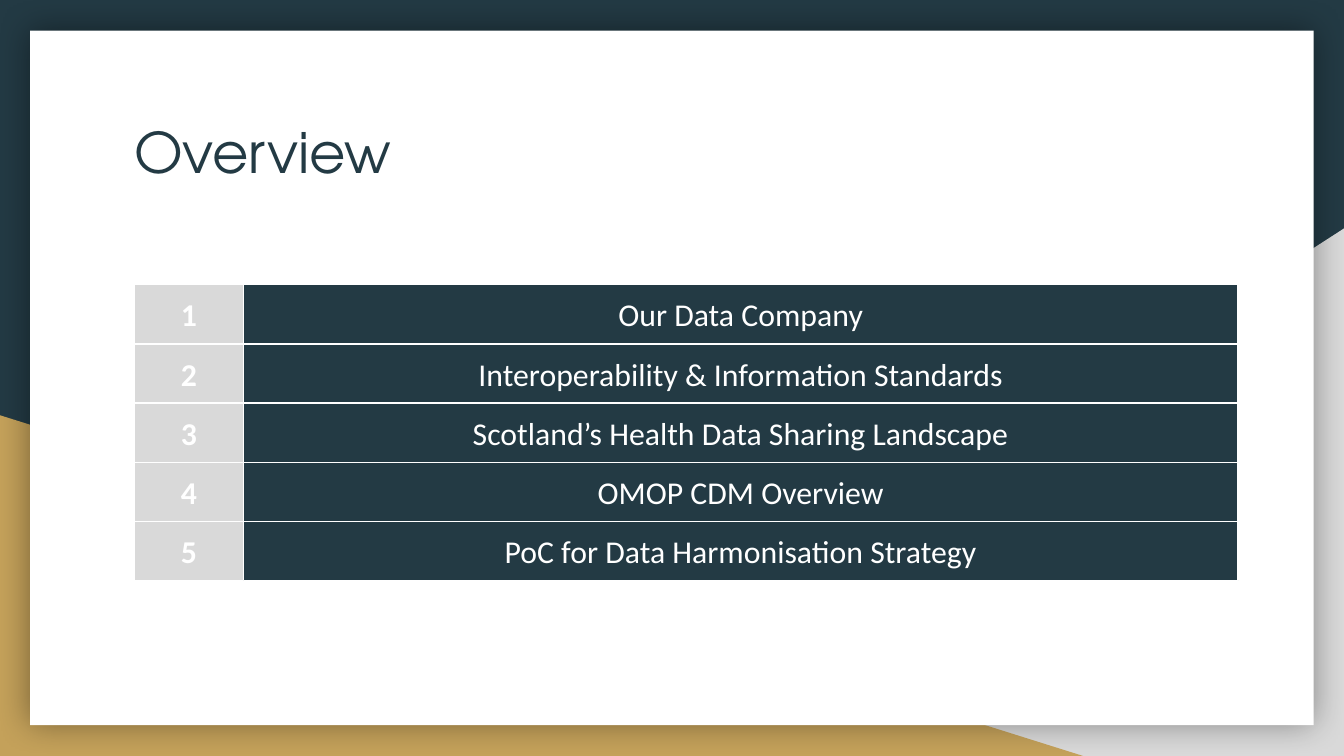
from lxml import etree
from pptx import Presentation
from pptx import util as u
from pptx.dml.color import RGBColor
from pptx.enum import shapes, text
from pptx.oxml.ns import qn

TITLE = "Overview"
TOPICS = [
    "Our Data Company",
    "Interoperability & Information Standards",
    "Scotland’s Health Data Sharing Landscape",
    "OMOP CDM Overview",
    "PoC for Data Harmonisation Strategy",
]
COLORS = {"navy": "233A44", "gold": "C4A15A", "grey": "D9D9D9",
          "white": "FFFFFF", "black": "000000"}
KIND = shapes.MSO_SHAPE
SLIDE = (25.4, 14.29)
GREY_CORNER = (9.96, 4.32, 15.44, 9.97)
GOLD_CORNER = (0, 7.85, 20.47, 6.44)
PANEL = (0.57, 0.58, 24.26, 13.13)
TITLE_BOX = (2.29, 1.98, 20.85, 2.64)
LEFT, TOP, ROW, NUMBER_W, TOPIC_W = 2.54, 5.38, 1.12, 2.06, 18.8
INSET = u.Cm(0.25)
FRAME = {"word_wrap": True, "margin_left": INSET, "margin_right": INSET,
         "margin_top": INSET, "margin_bottom": INSET}
TITLE_FONT = {"name": "TeX Gyre Adventor", "size": u.Pt(30), "bold": False}
ROW_FONT = {"name": "Calibri", "size": u.Pt(17)}


def rgb(name):
    """Return the palette colour called name."""
    return RGBColor.from_string(COLORS[name])


def apply(target, values):
    """Set each attribute in values on target."""
    for key, value in values.items():
        setattr(target, key, value)


def add_block(slide, kind, box, fill, line=None):
    """Add a filled preset shape at a box given in centimetres."""
    sp = slide.shapes.add_shape(kind, *map(u.Cm, box))
    sp.shadow.inherit = False
    sp.fill.solid()
    sp.fill.fore_color.rgb = rgb(fill)
    if line:
        sp.line.color.rgb = rgb(line)
        sp.line.width = u.Pt(0.75)
    else:
        sp.line.fill.background()
    return sp


def write(sp, words, font, color, align, anchor):
    """Fill a shape with one formatted paragraph."""
    tf = sp.text_frame
    apply(tf, {**FRAME, "vertical_anchor": anchor})
    p = tf.paragraphs[0]
    p.alignment = align
    r = p.add_run()
    r.text = words
    apply(r.font, font)
    r.font.color.rgb = rgb(color)


def add_glow(sp):
    """Give a shape a soft shadow on every side."""
    effects = sp._element.spPr.find(qn("a:effectLst"))
    shadow = etree.SubElement(effects, qn("a:outerShdw"), blurRad=str(u.Pt(18)),
                              dist="0", dir="0", algn="ctr", rotWithShape="0")
    color = etree.SubElement(shadow, qn("a:srgbClr"), val=COLORS["black"])
    etree.SubElement(color, qn("a:alpha"), val="40000")


def add_backdrop(slide):
    """Draw the coloured corners and the white panel."""
    slide.background.fill.solid()
    slide.background.fill.fore_color.rgb = rgb("navy")
    corner = add_block(slide, KIND.RIGHT_TRIANGLE, GREY_CORNER, "grey")
    corner._element.spPr.get_or_add_xfrm().set("flipH", "1")
    add_block(slide, KIND.RIGHT_TRIANGLE, GOLD_CORNER, "gold")
    add_glow(add_block(slide, KIND.RECTANGLE, PANEL, "white"))


def add_title(slide):
    """Place the title in front of the backdrop."""
    sp = slide.shapes.title
    apply(sp, dict(zip(("left", "top", "width", "height"), map(u.Cm, TITLE_BOX))))
    write(sp, TITLE, TITLE_FONT, "navy", text.PP_ALIGN.LEFT, text.MSO_ANCHOR.TOP)
    slide.shapes._spTree.append(sp._element)


def add_agenda(slide):
    """Stack one numbered row per topic."""
    for i, topic in enumerate(TOPICS):
        top = TOP + i * ROW
        cells = [
            (KIND.FLOWCHART_PROCESS, LEFT, NUMBER_W, "grey", str(i + 1), True),
            (KIND.RECTANGLE, LEFT + NUMBER_W, TOPIC_W, "navy", topic, False),
        ]
        for kind, left, width, fill, words, bold in cells:
            sp = add_block(slide, kind, (left, top, width, ROW), fill, "white")
            write(sp, words, {**ROW_FONT, "bold": bold}, "white",
                  text.PP_ALIGN.CENTER, text.MSO_ANCHOR.MIDDLE)


def main():
    """Build the overview slide."""
    prs = Presentation()
    prs.slide_width, prs.slide_height = map(u.Cm, SLIDE)
    slide = prs.slides.add_slide(prs.slide_layouts.get_by_name("Title Only"))
    add_backdrop(slide)
    add_title(slide)
    add_agenda(slide)
    prs.save("out.pptx")


if __name__ == "__main__":
    main()
